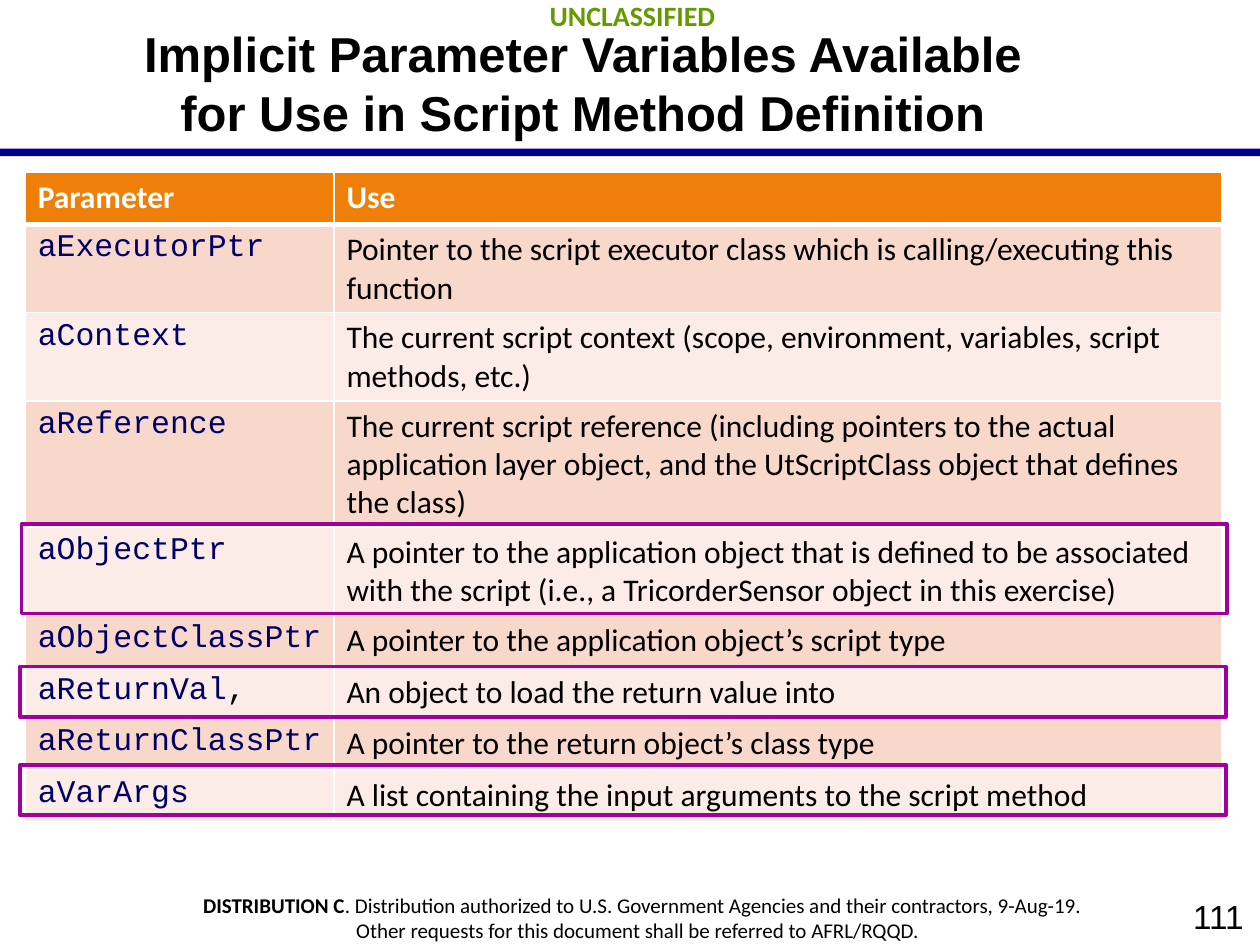
from lxml.etree import SubElement
from pptx import Presentation
from pptx.dml.color import RGBColor
from pptx.enum.shapes import MSO_SHAPE as SHAPE
from pptx.enum.text import MSO_ANCHOR as ANCHOR, PP_ALIGN as ALIGN
from pptx.oxml.ns import qn
from pptx.util import Inches, Pt

BLACK, WHITE, NAVY, PURPLE = "000000", "FFFFFF", "000066", "A000A0"
HEADER_FILL, BAND_FILLS = "F07F09", ("F9D8CC", "FCECE7")
CODE, BODY = "Courier New", "Calibri"

HEADINGS = ("Parameter", "Use")
PARAMETERS = [
    ("aExecutorPtr", "Pointer to the script executor class which is "
     "calling/executing this function"),
    ("aContext", "The current script context (scope, environment, variables, "
     "script methods, etc.)"),
    ("aReference", "The current script reference (including pointers to the "
     "actual application layer object, and the UtScriptClass object that "
     "defines the class)"),
    ("aObjectPtr", "A pointer to the application object that is defined to be "
     "associated with the script (i.e., a TricorderSensor object in this exercise)"),
    ("aObjectClassPtr", "A pointer to the application object’s script type"),
    ("aReturnVal,", "An object to load the return value into"),
    ("aReturnClassPtr", "A pointer to the return object’s class type"),
    ("aVarArgs", "A list containing the input arguments to the script method"),
]


def rgb(color):
    return RGBColor.from_string(color)


def add_run(p, text, size, font=BODY, color=BLACK, bold=False):
    r = p.add_run()
    r.text = text
    r.font.size, r.font.name, r.font.bold = Pt(size), font, bold
    r.font.color.rgb = rgb(color)


def add_text(s, box, align=ALIGN.CENTER, anchor=ANCHOR.TOP):
    """Add an empty text box and return its text frame."""
    tf = s.shapes.add_textbox(*map(Inches, box)).text_frame
    tf.word_wrap = True
    tf.vertical_anchor = anchor
    tf.margin_left = tf.margin_right = Inches(0.13)
    tf.margin_top = tf.margin_bottom = Inches(0.07)
    tf.paragraphs[0].alignment = align
    return tf


def add_rect(s, box, fill=None, line=None):
    sp = s.shapes.add_shape(SHAPE.RECTANGLE, *map(Inches, box))
    sp.shadow.inherit = False
    if fill:
        sp.fill.solid()
        sp.fill.fore_color.rgb = rgb(fill)
    else:
        sp.fill.background()
    if line:
        sp.line.color.rgb = rgb(line)
        sp.line.width = Pt(2)
    else:
        sp.line.fill.background()


def style_cell(cell, fill, top=1, bottom=1):
    """Set white borders (widths in points), then the fill."""
    tc_pr = cell._tc.get_or_add_tcPr()
    for side, width in (("L", 1), ("R", 1), ("T", top), ("B", bottom)):
        ln = SubElement(tc_pr, qn(f"a:ln{side}"), w=str(Pt(width)))
        SubElement(SubElement(ln, qn("a:solidFill")), qn("a:srgbClr"), val=WHITE)
    cell.fill.solid()
    cell.fill.fore_color.rgb = rgb(fill)


def add_parameter_table(s):
    rows, row_height = len(PARAMETERS) + 1, 0.41
    table = s.shapes.add_table(rows, 2, Inches(0.2), Inches(1.37), Inches(9.5),
                               Inches(rows * row_height)).table
    for column, width in zip(table.columns, (2.45, 7.05)):
        column.width = Inches(width)
    for row in table.rows:
        row.height = Inches(row_height)

    # Header row
    for cell, heading in zip(table.rows[0].cells, HEADINGS):
        style_cell(cell, HEADER_FILL, bottom=3)
        add_run(cell.text_frame.paragraphs[0], heading, 18, color=WHITE, bold=True)

    # One banded row per parameter
    for i, (name, use) in enumerate(PARAMETERS):
        name_cell, use_cell = table.rows[i + 1].cells
        for cell in (name_cell, use_cell):
            style_cell(cell, BAND_FILLS[i % 2], top=3 if i == 0 else 1)
        p = name_cell.text_frame.paragraphs[0]
        identifier = name.rstrip(",")
        add_run(p, identifier, 18, CODE, NAVY)
        if identifier != name:
            add_run(p, ",", 18, CODE)
        add_run(use_cell.text_frame.paragraphs[0], use, 18)


def add_footer(s):
    tf = add_text(s, (0.09, 7.01, 10.02, 0.54))
    p = tf.paragraphs[0]
    add_run(p, "DISTRIBUTION C", 12, bold=True)
    add_run(p, ". Distribution authorized to U.S. Government Agencies and their "
            "contractors, 9-Aug-19.", 12)
    p = tf.add_paragraph()
    p.alignment = ALIGN.CENTER
    add_run(p, "Other requests for this document shall be referred to "
            "AFRL/RQQD.  ", 12)


def main():
    prs = Presentation()
    prs.slide_width, prs.slide_height = Inches(10), Inches(7.5)
    s = prs.slides.add_slide(prs.slide_layouts[6])

    # Page frame: rule, page number, marking, footer
    add_rect(s, (0, 1.18, 10, 0.06), fill="000099")
    tf = add_text(s, (8, 7.05, 2, 0.45), ALIGN.RIGHT, ANCHOR.MIDDLE)
    add_run(tf.paragraphs[0], "111", 19, "Arial")
    tf = add_text(s, (0.02, -0.08, 10, 0.4))
    add_run(tf.paragraphs[0], "UNCLASSIFIED", 16, color="669900", bold=True)
    add_footer(s)

    # Title
    tf = add_text(s, (1, 0.03, 7.25, 1.25), anchor=ANCHOR.MIDDLE)
    add_run(tf.paragraphs[0], "Implicit Parameter Variables Available for Use in "
            "Script Method Definition", 28, "Arial", bold=True)

    # Table and the outlines around the key rows
    add_parameter_table(s)
    for left, top, height in ((0.17, 4.16, 0.71), (0.16, 5.29, 0.4), (0.16, 6.07, 0.4)):
        add_rect(s, (left, top, 9.57, height), line=PURPLE)

    prs.save("out.pptx")


if __name__ == "__main__":
    main()
